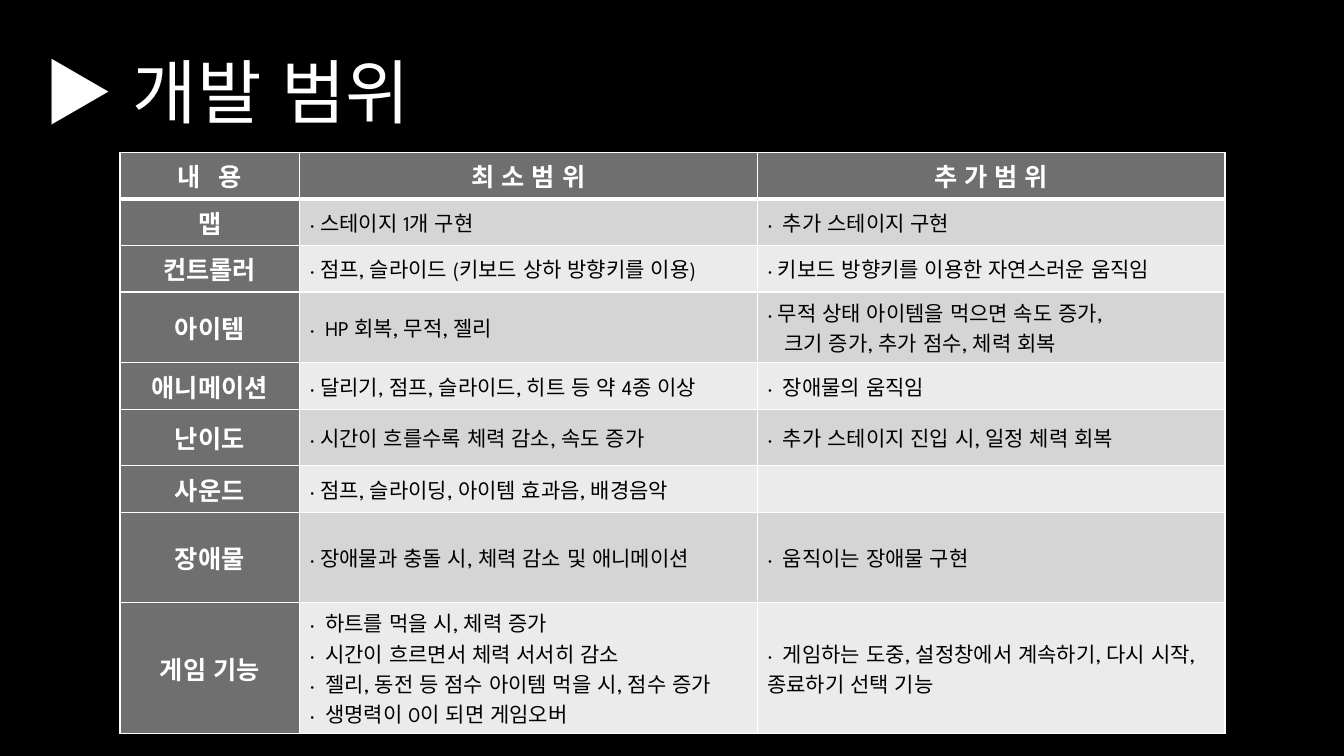
from lxml.etree import SubElement
from pptx import Presentation
from pptx.dml.color import RGBColor
from pptx.enum.lang import MSO_LANGUAGE_ID
from pptx.enum.text import MSO_ANCHOR, MSO_AUTO_SIZE, PP_ALIGN
from pptx.oxml.ns import qn
from pptx.util import Inches, Pt

COLORS = {
    "background": "000000",
    "white": "FFFFFF",
    "title_end": "A6A6A6",
    "heading": "6F6F6F",
    "odd": "D5D5D5",
    "even": "EBEBEB",
    "body": "000000",
}
FONT = "League Spartan"
TIGHT, WIDE = 0, 1.8
HEADING_SPACING = 4
CONTINUATION_INDENT = 0.17

COLUMN_WIDTHS = [1.78, 4.54, 4.64]
HEADER = [("내 용", HEADING_SPACING), ("최 소 범 위", 0), ("추 가 범 위", 0)]
HEADER_HEIGHT = 0.41
SCOPES = [
    (0.44, "맵", [(TIGHT, "스테이지 1개 구현")], [(WIDE, "추가 스테이지 구현")]),
    (0.46, "컨트롤러", [(TIGHT, "점프, 슬라이드 (키보드 상하 방향키를 이용)")],
     [(TIGHT, "키보드 방향키를 이용한 자연스러운 움직임")]),
    (0.63, "아이템", [(WIDE, "HP 회복, 무적, 젤리")],
     [(TIGHT, "무적 상태 아이템을 먹으면 속도 증가,"),
      (None, "크기 증가, 추가 점수, 체력 회복")]),
    (0.45, "애니메이션", [(TIGHT, "달리기, 점프, 슬라이드, 히트 등 약 4종 이상")],
     [(WIDE, "장애물의 움직임")]),
    (0.56, "난이도", [(TIGHT, "시간이 흐를수록 체력 감소, 속도 증가")],
     [(WIDE, "추가 스테이지 진입 시, 일정 체력 회복")]),
    (0.46, "사운드", [(TIGHT, "점프, 슬라이딩, 아이템 효과음, 배경음악")], []),
    (0.89, "장애물", [(TIGHT, "장애물과 충돌 시, 체력 감소 및 애니메이션")],
     [(WIDE, "움직이는 장애물 구현")]),
    (0.89, "게임 기능",
     [(WIDE, "하트를 먹을 시, 체력 증가"),
      (WIDE, "시간이 흐르면서 체력 서서히 감소"),
      (WIDE, "젤리, 동전 등 점수 아이템 먹을 시, 점수 증가"),
      (WIDE, "생명력이 0이 되면 게임오버")],
     [(WIDE, "게임하는 도중, 설정창에서 계속하기, 다시 시작, 종료하기 선택 기능")]),
]


def rgb(name):
    return RGBColor.from_string(COLORS[name])


def add_run(p, text, size, color, bold=False, spacing=0):
    r = p.add_run()
    r.text = text
    r.font.size = Pt(size)
    r.font.bold = bold
    r.font.name = FONT
    r.font.language_id = MSO_LANGUAGE_ID.KOREAN
    r.font.color.rgb = rgb(color)
    if spacing:
        r.font._element.set("spc", str(round(spacing * 100)))
    return r


def add_border(cell, side, width):
    ln = SubElement(cell._tc.get_or_add_tcPr(), qn(f"a:ln{side}"))
    ln.set("w", str(Pt(width)))
    fill = SubElement(ln, qn("a:solidFill"))
    SubElement(fill, qn("a:srgbClr")).set("val", COLORS["white"])


def format_cell(cell, fill, top=1, bottom=1):
    for side, width in zip("LRTB", (1, 1, top, bottom)):
        add_border(cell, side, width)
    cell.fill.solid()
    cell.fill.fore_color.rgb = rgb(fill)
    cell.vertical_anchor = MSO_ANCHOR.MIDDLE


def write_heading(cell, text, spacing=0):
    p = cell.text_frame.paragraphs[0]
    p.alignment = PP_ALIGN.CENTER
    add_run(p, text, 18, "white", True, spacing)


def write_items(cell, items):
    tf = cell.text_frame
    for i, (gap, text) in enumerate(items):
        p = tf.add_paragraph() if i else tf.paragraphs[0]
        if gap is None:
            p._p.get_or_add_pPr().set("marL", str(Inches(CONTINUATION_INDENT)))
        else:
            add_run(p, "· ", 15, "body", spacing=gap)
        add_run(p, text, 15, "body")


def add_title(s, left, top, width, height):
    title = s.shapes.title
    title.left, title.top = Inches(left), Inches(top)
    title.width, title.height = Inches(width), Inches(height)
    tf = title.text_frame
    tf.word_wrap = True
    tf.auto_size = MSO_AUTO_SIZE.NONE
    tf.vertical_anchor = MSO_ANCHOR.MIDDLE
    p = tf.paragraphs[0]
    p.alignment = PP_ALIGN.LEFT
    r = add_run(p, "▶ 개발 범위", 50, "white")
    r.font.fill.gradient()
    r.font.fill.gradient_angle = 267
    for stop, color in zip(r.font.fill.gradient_stops, ("white", "title_end")):
        stop.color.rgb = rgb(color)


def add_scope_table(s, left, top, width, height):
    table = s.shapes.add_table(
        len(SCOPES) + 1, len(HEADER),
        Inches(left), Inches(top), Inches(width), Inches(height)).table
    for column, column_width in zip(table.columns, COLUMN_WIDTHS):
        column.width = Inches(column_width)
    table.rows[0].height = Inches(HEADER_HEIGHT)
    for i, (text, spacing) in enumerate(HEADER):
        cell = table.cell(0, i)
        format_cell(cell, "heading", bottom=3)
        write_heading(cell, text, spacing)
    for row, (row_height, name, *scopes) in enumerate(SCOPES, 1):
        table.rows[row].height = Inches(row_height)
        top_border = 3 if row == 1 else 1
        format_cell(table.cell(row, 0), "heading", top_border)
        write_heading(table.cell(row, 0), name)
        for i, items in enumerate(scopes, 1):
            cell = table.cell(row, i)
            format_cell(cell, "odd" if row % 2 else "even", top_border)
            write_items(cell, items)


def main():
    prs = Presentation()
    prs.slide_width, prs.slide_height = Inches(13.33), Inches(7.5)
    s = prs.slides.add_slide(prs.slide_layouts[5])
    s.background.fill.solid()
    s.background.fill.fore_color.rgb = rgb("background")
    add_title(s, 0.33, 0.29, 4.35, 1.22)
    add_scope_table(s, 1.19, 1.51, 10.95, 5.39)
    prs.save("out.pptx")


if __name__ == "__main__":
    main()
